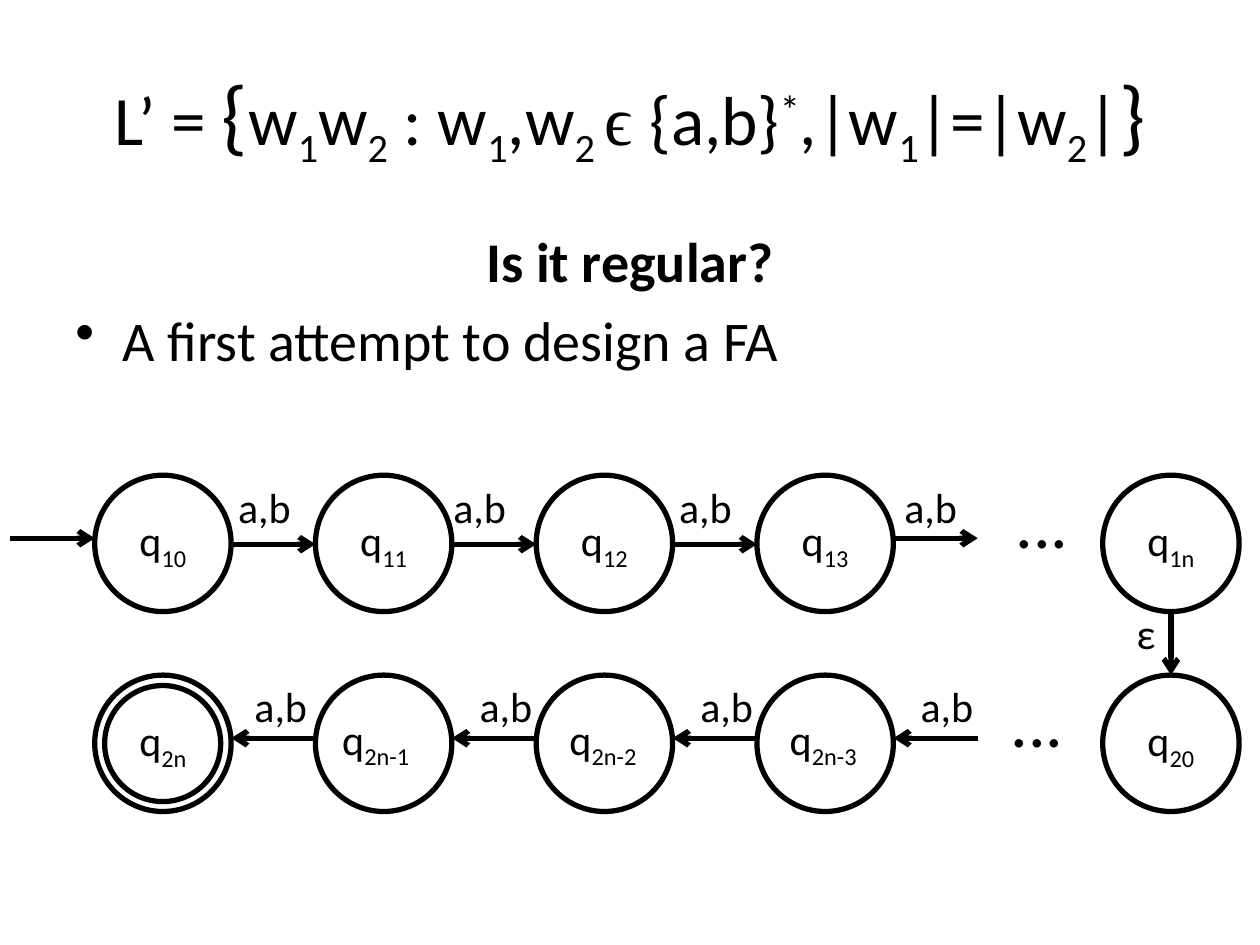
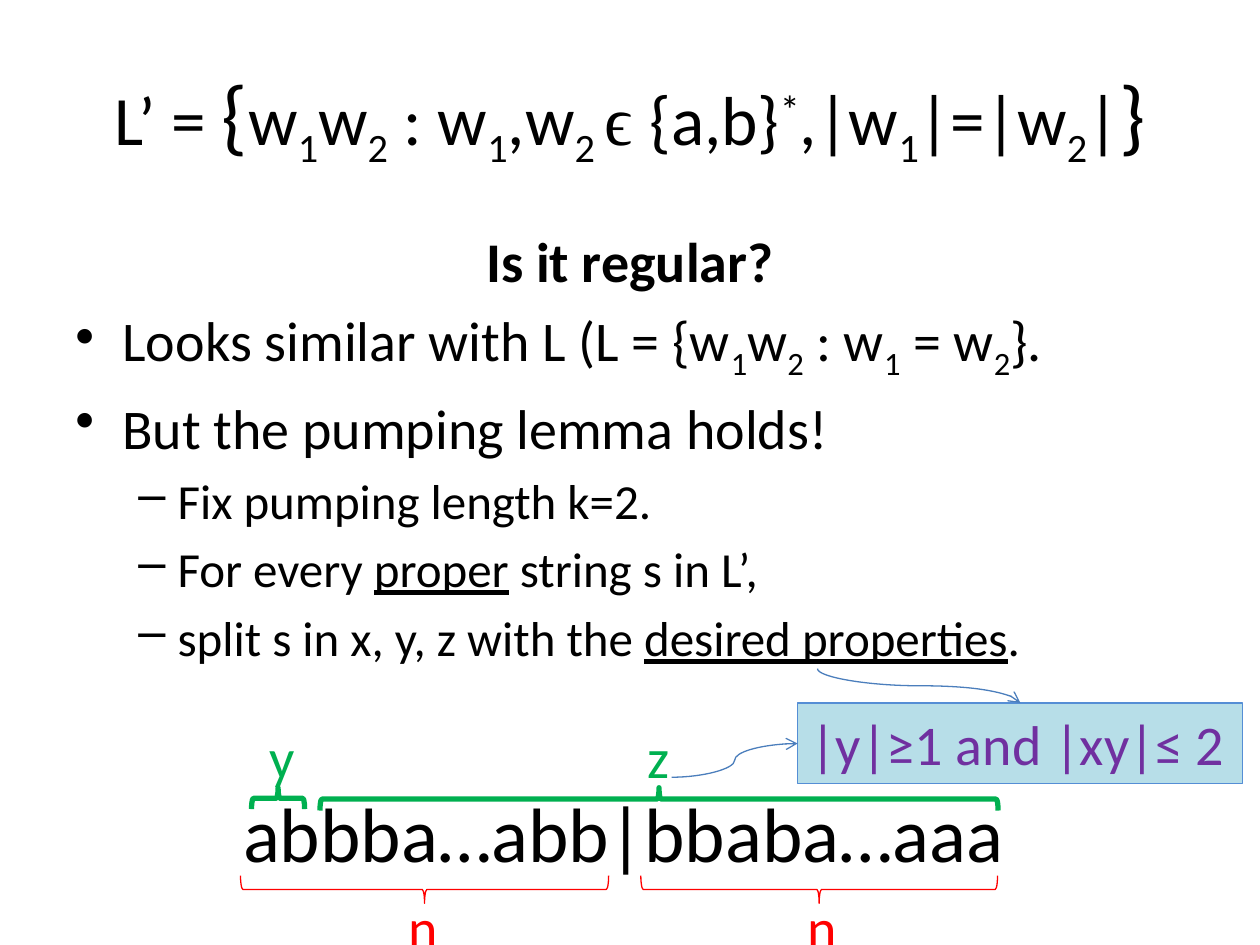
"""Build two slides that ask whether the language L' is regular."""
from dataclasses import dataclass

from lxml import etree
from pptx import Presentation
from pptx.dml.color import RGBColor
from pptx.enum import shapes, text
from pptx.oxml import ns
from pptx.util import Cm, Pt


@dataclass(frozen=True)
class Theme:
    """Fonts, colours and type sizes of the slides."""
    font: str = "Calibri"
    symbol_font: str = "Times New Roman"
    ink: str = "000000"
    split: str = "00B050"
    half: str = "FF0000"
    note_fill: str = "B7DEE8"
    note_line: str = "558ED5"
    note_text: str = "7030A0"
    pointer: str = "4B7EBC"
    title: float = 39.6
    title_brace: float = 47.7
    body: float = 32
    detail: float = 28
    label: float = 24
    dots: float = 40
    string: float = 44
    thick: float = 3
    thin: float = 0.75


THEME = Theme()
MARKS = {
    "~": {"baseline": -25000},
    "^": {"baseline": 30000},
    "_": {"underline": True},
    "#": {"size": THEME.title_brace},
    "@": {"font": THEME.symbol_font},
}
TITLE = ("L’ = [#{]w[~1]w[~2] : w[~1],w[~2 ][@ϵ ]{a,b}[^*],"
         "|w[~1]|=|w[~2]|[#}]")
QUESTION = ("Is it regular?", "question")
COLUMN_LEFT, COLUMN_STEP, DIAMETER = 1.91, 4.45, 2.75
LAST_COLUMN = 22.23
FIRST_ROW, SECOND_ROW = 9.58, 13.61
ARROW_LENGTH = 1.7


def rgb(colour):
    """Turn a hex string into a colour."""
    return RGBColor.from_string(colour)


def add_run(paragraph, words, size=THEME.label, colour=THEME.ink,
            font=THEME.font, bold=False, underline=False, baseline=0):
    """Add one run in a single format."""
    run = paragraph.add_run()
    run.text = words
    run.font.size, run.font.name = Pt(size), font
    run.font.bold, run.font.underline = bold, underline
    run.font.color.rgb = rgb(colour)
    if baseline:
        run._r.get_or_add_rPr().set("baseline", str(baseline))


def write(paragraph, marked, **style):
    """Write text in which [~x] and its like mark specially formatted spans."""
    plain, *pieces = marked.split("[")
    if plain:
        add_run(paragraph, plain, **style)
    for piece in pieces:
        span, _, plain = piece.partition("]")
        add_run(paragraph, span[1:], **{**style, **MARKS[span[0]]})
        if plain:
            add_run(paragraph, plain, **style)


def add_frame(slide, left, top, width, height, wrap=True, grow=False):
    """Add an empty text box and return its text frame."""
    frame = slide.shapes.add_textbox(
        Cm(left), Cm(top), Cm(width), Cm(height)).text_frame
    frame.word_wrap = wrap
    if grow:
        frame.auto_size = text.MSO_AUTO_SIZE.SHAPE_TO_FIT_TEXT
    return frame


def add_label(slide, marked, left, top, width, height, wrap=False, **style):
    """Add a text box that fits its single line."""
    frame = add_frame(slide, left, top, width, height, wrap, grow=True)
    write(frame.paragraphs[0], marked, **style)


def add_title(slide):
    """Add the definition of the language as the title."""
    frame = add_frame(slide, 1.27, 0.76, 22.86, 3.18)
    frame.vertical_anchor = text.MSO_ANCHOR.MIDDLE
    frame.paragraphs[0].alignment = text.PP_ALIGN.CENTER
    write(frame.paragraphs[0], TITLE, size=THEME.title)


def add_body(slide, lines):
    """Add the question and the bullet points under it."""
    frame = add_frame(slide, 1.27, 4.45, 22.86, 12.57)
    for number, (words, role) in enumerate(lines):
        paragraph = frame.add_paragraph() if number else frame.paragraphs[0]
        detail, question = role == "detail", role == "question"
        size = THEME.detail if detail else THEME.body
        margin, indent = (2.06, -0.79) if detail else (0.95, -0.95)
        paragraph.space_before = Pt(size * 0.2)
        properties = paragraph._p.get_or_add_pPr()
        properties.set("marL", str(Cm(margin)))
        properties.set("indent", str(Cm(indent)))
        if question:
            paragraph.alignment = text.PP_ALIGN.CENTER
        else:
            bullet = etree.SubElement(properties, ns.qn("a:buChar"))
            bullet.set("char", "–" if detail else "•")
        write(paragraph, words, size=size, bold=question)


def add_outline(slide, kind, left, top, width, height,
                line=THEME.ink, weight=THEME.thick, fill=None):
    """Add a preset shape with a plain outline."""
    shape = slide.shapes.add_shape(
        kind, Cm(left), Cm(top), Cm(width), Cm(height))
    shape.shadow.inherit = False
    shape.line.color.rgb, shape.line.width = rgb(line), Pt(weight)
    if fill:
        shape.fill.solid()
        shape.fill.fore_color.rgb = rgb(fill)
    else:
        shape.fill.background()
    return shape


def add_state(slide, left, top, subscript="", diameter=DIAMETER):
    """Add a state circle, named when a subscript is given."""
    state = add_outline(slide, shapes.MSO_SHAPE.OVAL,
                        left, top, diameter, diameter)
    if subscript:
        frame = state.text_frame
        frame.word_wrap = True
        frame.vertical_anchor = text.MSO_ANCHOR.MIDDLE
        frame.paragraphs[0].alignment = text.PP_ALIGN.CENTER
        write(frame.paragraphs[0], f"q[~{subscript}]")


def add_arrow(slide, start, end, kind=shapes.MSO_CONNECTOR.STRAIGHT,
              colour=THEME.ink, weight=THEME.thick, tip="tailEnd"):
    """Add a line with an open arrowhead at one end."""
    arrow = slide.shapes.add_connector(
        kind, Cm(start[0]), Cm(start[1]), Cm(end[0]), Cm(end[1]))
    arrow.line.color.rgb, arrow.line.width = rgb(colour), Pt(weight)
    head = etree.SubElement(arrow.line._get_or_add_ln(), ns.qn(f"a:{tip}"))
    head.set("type", "arrow")
    etree.SubElement(arrow._element.spPr, ns.qn("a:effectLst"))
    return arrow


def add_pointer(slide, start, end, downward=False):
    """Add a curved pointer, leaving downward or sideways."""
    if downward:
        across, down = end[0] - start[0], end[1] - start[1]
        middle_x, middle_y = start[0] + across / 2, start[1] + down / 2
        start = middle_x - down / 2, middle_y - across / 2
        end = middle_x + down / 2, middle_y + across / 2
    pointer = add_arrow(slide, start, end, shapes.MSO_CONNECTOR.CURVE,
                        THEME.pointer, THEME.thin)
    if downward:
        frame = pointer._element.spPr.find(ns.qn("a:xfrm"))
        frame.set("rot", str(270 * 60000))
        frame.set("flipH", "1")


def add_brace(slide, left, top, span, depth, colour, weight, rotation):
    """Add a lying brace; rotation 90 points up and 270 points down."""
    brace = add_outline(slide, shapes.MSO_SHAPE.LEFT_BRACE,
                        left + (span - depth) / 2, top - (span - depth) / 2,
                        depth, span, colour, weight)
    brace.rotation = rotation


def draw_first_half(slide):
    """Draw the states that read the first word."""
    add_arrow(slide, (0.2, 10.85), (COLUMN_LEFT, 10.85))
    for column, label_left in enumerate((4.55, 8.89, 13.44, 17.98)):
        left = COLUMN_LEFT + column * COLUMN_STEP
        right = left + DIAMETER
        level = 10.85 if column == 3 else 10.97
        add_state(slide, left, FIRST_ROW, f"1{column}")
        add_arrow(slide, (right, level), (right + ARROW_LENGTH, level))
        add_label(slide, "a,b", label_left, FIRST_ROW, 1.57, 1.27)
    add_label(slide, "...", 20.22, 9.53, 1.6, 1.96, size=THEME.dots)
    add_state(slide, LAST_COLUMN, FIRST_ROW, "1n")


def draw_second_half(slide):
    """Draw the states that read the second word, from right to left."""
    name_lefts = (None, 6.65, 11.23, 15.67)
    label_lefts = (4.88, 9.42, 13.87, 18.31)
    for column, (name_left, label_left) in enumerate(
            zip(name_lefts, label_lefts)):
        left = COLUMN_LEFT + column * COLUMN_STEP
        right = left + DIAMETER
        add_state(slide, left, SECOND_ROW, "" if column else "2n")
        if column:
            add_label(slide, f"q[~2n-{column}]", name_left, 14.25, 2.01, 2.13)
        add_arrow(slide, (right, 14.88), (right + ARROW_LENGTH, 14.88),
                  tip="headEnd")
        add_label(slide, "a,b", label_left, 13.59, 1.57, 1.27)
    add_state(slide, 2.11, 13.82, diameter=2.34)
    add_label(slide, "...", 20.12, 13.54, 1.6, 1.96, size=THEME.dots)
    add_state(slide, LAST_COLUMN, SECOND_ROW, "20")


def draw_automaton(slide):
    """Draw both rows of states and the move between them."""
    draw_first_half(slide)
    draw_second_half(slide)
    middle = LAST_COLUMN + DIAMETER / 2
    add_arrow(slide, (middle, FIRST_ROW + DIAMETER), (middle, SECOND_ROW))
    add_label(slide, "ε", 22.66, 12.12, 0.89, 1.27)


def draw_split(slide):
    """Draw the braces that split the string and name its parts."""
    parts = (("z", 12.8, 6.45, 13.67, 0.46), ("y", 5.18, 5.07, 1.07, 0.43))
    for name, name_left, left, span, depth in parts:
        add_brace(slide, left, 15.88, span, depth,
                  THEME.split, THEME.thick, 90)
        add_label(slide, name, name_left, 14.45, 1, 1.63,
                  size=THEME.body, colour=THEME.split)
    for name_left, left, span in ((7.98, 4.85, 7.42), (16.03, 12.92, 7.19)):
        add_brace(slide, left, 17.65, span, 0.56, THEME.half, THEME.thin, 270)
        add_label(slide, "n", name_left, 17.86, 1.12, 1.63,
                  size=THEME.body, colour=THEME.half)


def draw_condition(slide):
    """Draw the note with the desired properties and its pointers."""
    note = add_outline(slide, shapes.MSO_SHAPE.RECTANGLE,
                       16.08, 14.17, 8.97, 1.63,
                       THEME.note_line, THEME.thin, THEME.note_fill)
    frame = note.text_frame
    frame.word_wrap = False
    frame.auto_size = text.MSO_AUTO_SIZE.SHAPE_TO_FIT_TEXT
    frame.vertical_anchor = text.MSO_ANCHOR.TOP
    frame.paragraphs[0].alignment = text.PP_ALIGN.LEFT
    write(frame.paragraphs[0], "|y|≥1 and |xy|≤ 2",
          size=THEME.body, colour=THEME.note_text)
    add_pointer(slide, (16.48, 13.48), (20.57, 14.17), downward=True)
    add_pointer(slide, (13.54, 15.67), (16.08, 14.99))


def main():
    """Build and save the slides."""
    deck = Presentation()
    deck.slide_width, deck.slide_height = Cm(25.4), Cm(19.05)
    blank = deck.slide_layouts[6]

    attempt = deck.slides.add_slide(blank)
    add_title(attempt)
    add_body(attempt, [QUESTION,
                       ("A first attempt to design a FA", "point")])
    draw_automaton(attempt)

    pumping = deck.slides.add_slide(blank)
    add_label(pumping, "abbba…abb|bbaba…aaa", 4.65, 15.72, 16.31, 2.13,
              wrap=True, size=THEME.string)
    add_title(pumping)
    add_body(pumping, [
        QUESTION,
        ("Looks similar with L (L = {w[~1]w[~2] : w[~1] = w[~2]}.", "point"),
        ("But the pumping lemma holds!", "point"),
        ("Fix pumping length k=2.", "detail"),
        ("For every [_proper] string s in L’,", "detail"),
        ("split s in x, y, z with the [_desired properties].", "detail"),
    ])
    draw_split(pumping)
    draw_condition(pumping)
    deck.save("out.pptx")


if __name__ == "__main__":
    main()
